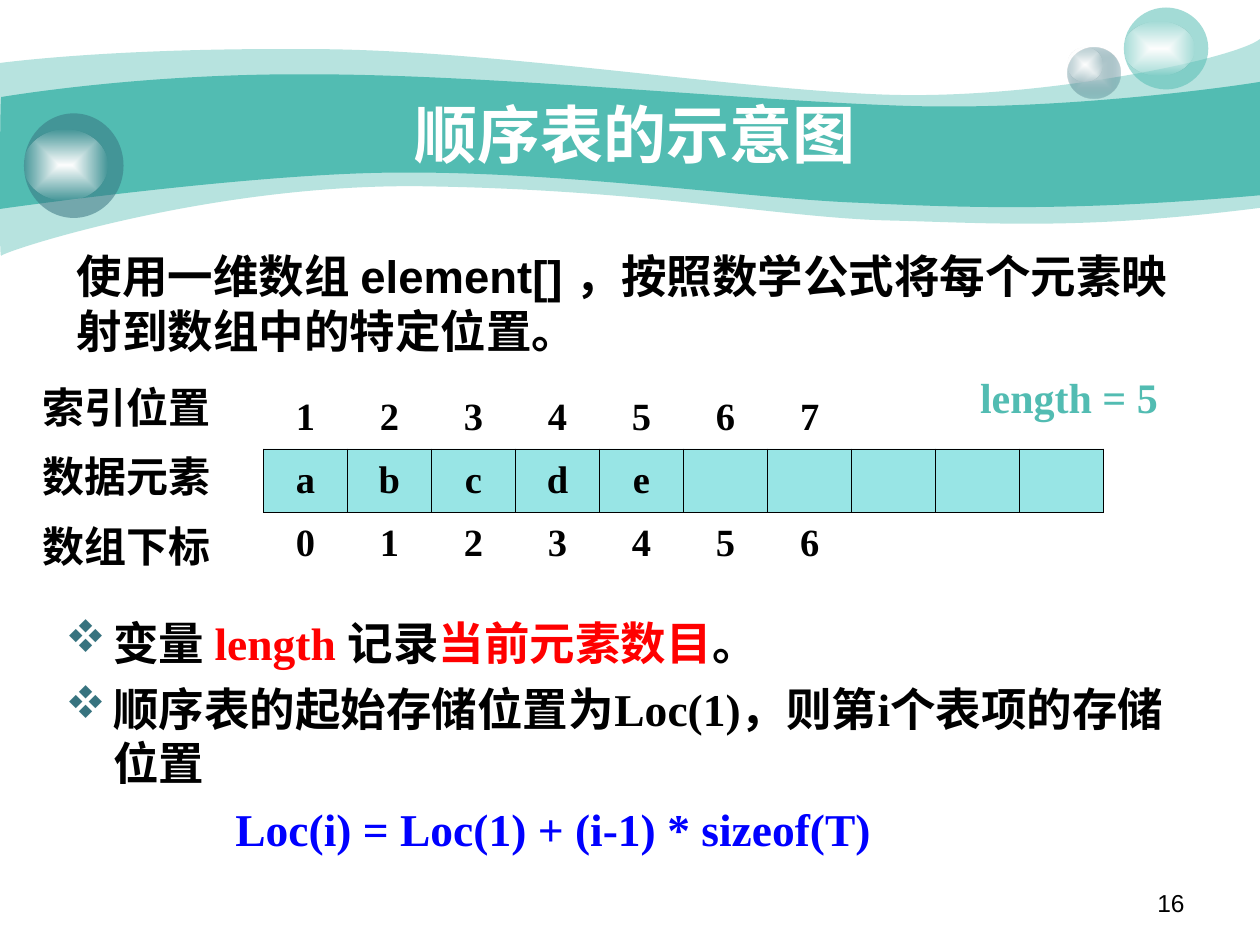
"""Builds the slide that illustrates a sequential list stored in an array."""
from lxml.etree import SubElement
from pptx import Presentation
from pptx.dml.color import RGBColor
from pptx.enum.shapes import MSO_SHAPE
from pptx.enum.text import MSO_ANCHOR, PP_ALIGN
from pptx.oxml import parse_xml
from pptx.oxml.ns import nsdecls, qn
from pptx.util import Inches, Pt

BLACK = RGBColor(0x00, 0x00, 0x00)
WHITE = RGBColor(0xFF, 0xFF, 0xFF)
TEAL = RGBColor(0x52, 0xBC, 0xB2)
SLATE = RGBColor(0x37, 0x73, 0x7F)
MIST = RGBColor(0xCC, 0xDB, 0xDE)
AQUA = RGBColor(0x33, 0xCC, 0xCC)
RED = RGBColor(0xFF, 0x00, 0x00)
BLUE = RGBColor(0x00, 0x00, 0xFF)
SERIF, SANS = "Times New Roman", "Arial"

TITLE = "顺序表的示意图"
INTRO = "使用一维数组 element[] ，按照数学公式将每个元素映射到数组中的特定位置。"
LABELS = ["索引位置", "数据元素", "数组下标"]
COLUMNS = 10
ROWS = [("1234567", "B"), ("abcde", "LRTB"), ("0123456", "T")]
DIAMOND = ("Wingdings", "v")
NOTES = [
    (DIAMOND, [("变量 ", BLACK), ("length ", RED), ("记录", BLACK),
               ("当前元素数目", RED), ("。", BLACK)]),
    (DIAMOND, [("顺序表的起始存储位置为Loc(1)，则第i个表项的存储位置", BLACK)]),
    (None, [("Loc(i) = Loc(1) + (i-1) * sizeof(T)", BLUE)]),
]
WAVES = [
    (41, (0, 0.5), [
        [(0.24, 0.47), (1.07, 0.38), (2.47, 0.39)],
        [(3.86, 0.39), (5.75, 0.7), (6.99, 0.75)],
        [(8.22, 0.8), (9.8, 0.47), (10, 0.31)],
        [(10, 1.65)],
        [(8.58, 1.83), (7.87, 1.77), (7.05, 1.75)],
        [(6.22, 1.73), (5.15, 1.51), (3.43, 1.48)],
        [(1.72, 1.44), (0.04, 1.99), (0.01, 2.03)],
        [(-0.01, 2.08), (0, 0.75), (0, 0.5)]]),
    (100, (0.01, 0.77), [
        [(0.02, 0.77), (1.1, 0.58), (2.48, 0.59)],
        [(3.86, 0.59), (5.95, 0.8), (7.18, 0.84)],
        [(8.41, 0.88), (9.76, 0.69), (10, 0.65)],
        [(10, 1.55)],
        [(8.53, 1.68), (7.65, 1.65), (6.82, 1.61)],
        [(5.99, 1.58), (4.47, 1.36), (3.17, 1.37)],
        [(2.03, 1.37), (-0.02, 1.66), (-0.01, 1.66)],
        [(0, 1.66), (0, 0.77), (0.01, 0.77)]]),
]
BUBBLES = [
    ((8.47, 0.38, 0.42, 0.4), (MIST, SLATE, 31)),
    ((8.47, 0.38, 0.28, 0.27), (WHITE, WHITE, 0)),
    ((8.92, 0.06, 0.67, 0.65), (TEAL, 53)),
    ((8.92, 0.17, 0.56, 0.43), (WHITE, WHITE, 0)),
    ((0.19, 0.9, 0.79, 0.83), (SLATE, 53)),
    ((0.19, 1.03, 0.66, 0.56), (WHITE, WHITE, 0)),
]


def set_alpha(props, percent):
    color = props.find(qn("a:solidFill"))[0]
    SubElement(color, qn("a:alpha")).set("val", str(percent * 1000))


def paint(sp, color, percent):
    sp.shadow.inherit = False
    sp.line.fill.background()
    sp.fill.solid()
    sp.fill.fore_color.rgb = color
    if percent < 100:
        set_alpha(sp._element.spPr, percent)


def paint_glow(sp, inner, outer, percent):
    paint(sp, inner, 100)
    props = sp._element.spPr
    glow = parse_xml(
        f'<a:gradFill {nsdecls("a")} rotWithShape="1"><a:gsLst>'
        f'<a:gs pos="0"><a:srgbClr val="{inner}"/></a:gs>'
        f'<a:gs pos="100000"><a:srgbClr val="{outer}">'
        f'<a:alpha val="{percent * 1000}"/></a:srgbClr></a:gs></a:gsLst>'
        '<a:path path="rect"><a:fillToRect l="50000" t="50000" r="50000" b="50000"/>'
        '</a:path></a:gradFill>')
    props.replace(props.find(qn("a:solidFill")), glow)


def add_wave(slide, start, segments):
    ends = [tuple(map(Inches, segment[-1])) for segment in segments]
    builder = slide.shapes.build_freeform(*map(Inches, start), scale=1.0)
    builder.add_line_segments(ends, close=True)
    sp = builder.convert_to_shape()
    lines = list(sp._element.spPr.iter(qn("a:lnTo")))
    for line, segment in zip(lines, segments):
        if len(segment) == 3:
            curve = parse_xml(f'<a:cubicBezTo {nsdecls("a")}/>')
            for x, y in segment:
                pt = SubElement(curve, qn("a:pt"))
                pt.set("x", str(Inches(x) - sp.left))
                pt.set("y", str(Inches(y) - sp.top))
            line.getparent().replace(line, curve)
    return sp


def set_font(p, size, color, name=SERIF, bold=True):
    p.font.size, p.font.name, p.font.bold = Pt(size), name, bold
    if color is not None:
        p.font.color.rgb = color


def add_box(slide, box):
    tf = slide.shapes.add_textbox(*map(Inches, box)).text_frame
    tf.word_wrap = True
    return tf


def add_line(slide, box, text, size, color, align=PP_ALIGN.LEFT, **font):
    tf = add_box(slide, box)
    p = tf.paragraphs[0]
    p.text, p.alignment = text, align
    set_font(p, size, color, **font)
    return tf


def add_notes(slide, box):
    tf = add_box(slide, box)
    for i, (bullet, runs) in enumerate(NOTES):
        p = tf.add_paragraph() if i else tf.paragraphs[0]
        props = p._p.get_or_add_pPr()
        props.set("marL", str(Inches(0.38 if bullet else 1.35)))
        if bullet:
            typeface, char = bullet
            props.set("indent", str(Inches(-0.38)))
            color = SubElement(props, qn("a:buClr"))
            SubElement(color, qn("a:srgbClr")).set("val", str(SLATE))
            SubElement(props, qn("a:buFont")).set("typeface", typeface)
            SubElement(props, qn("a:buChar")).set("char", char)
        if i:
            p.space_before = Pt(6.5)
        set_font(p, 26, None)
        for text, color in runs:
            r = p.add_run()
            r.text = text
            r.font.color.rgb = color


def add_borders(props, edges):
    for edge in "LRTB":
        color = f'<a:solidFill><a:srgbClr val="{BLACK}"/></a:solidFill>'
        fill = color if edge in edges else "<a:noFill/>"
        props.append(parse_xml(f'<a:ln{edge} {nsdecls("a")} w="{Pt(0.45)}">{fill}</a:ln{edge}>'))


def add_array(slide, box):
    table = slide.shapes.add_table(len(ROWS), COLUMNS, *map(Inches, box)).table
    table.first_row = table.horz_banding = False
    for y, (letters, edges) in enumerate(ROWS):
        for x in range(COLUMNS):
            cell = table.cell(y, x)
            props = cell._tc.get_or_add_tcPr()
            add_borders(props, edges)
            if edges == "LRTB":
                cell.fill.solid()
                cell.fill.fore_color.rgb = AQUA
                set_alpha(props, 50)
            else:
                cell.fill.background()
            cell.vertical_anchor = MSO_ANCHOR.MIDDLE
            if x < len(letters):
                p = cell.text_frame.paragraphs[0]
                p.text, p.alignment = letters[x], PP_ALIGN.CENTER
                set_font(p, 22, BLACK)


def main():
    prs = Presentation()
    prs.slide_width, prs.slide_height = Inches(10), Inches(7.5)
    slide = prs.slides.add_slide(prs.slide_layouts[6])
    for percent, start, segments in WAVES:
        paint(add_wave(slide, start, segments), TEAL, percent)
    for box, colors in BUBBLES:
        sp = slide.shapes.add_shape(MSO_SHAPE.OVAL, *map(Inches, box))
        (paint if len(colors) == 2 else paint_glow)(sp, *colors)
    add_line(slide, (7.17, 7, 2.33, 0.35), "16", 14, BLACK, PP_ALIGN.RIGHT, name=SANS, bold=False)
    title = add_line(slide, (1, 0.75, 8.08, 0.62), TITLE, 36, WHITE, PP_ALIGN.CENTER)
    title.vertical_anchor = MSO_ANCHOR.MIDDLE
    add_line(slide, (0.51, 1.92, 9.15, 1.15), INTRO, 26, BLACK, name=SANS)
    add_notes(slide, (0.42, 4.83, 9.06, 2.33))
    add_line(slide, (7.68, 2.9, 1.73, 0.5), "length = 5", 24, TEAL)
    add_array(slide, (2.09, 3.06, 6.67, 1.51))
    for i, label in enumerate(LABELS):
        add_line(slide, (0.24, 2.98 + 0.55 * i, 1.82, 0.5), label, 24, BLACK)
    prs.save("out.pptx")


if __name__ == "__main__":
    main()
